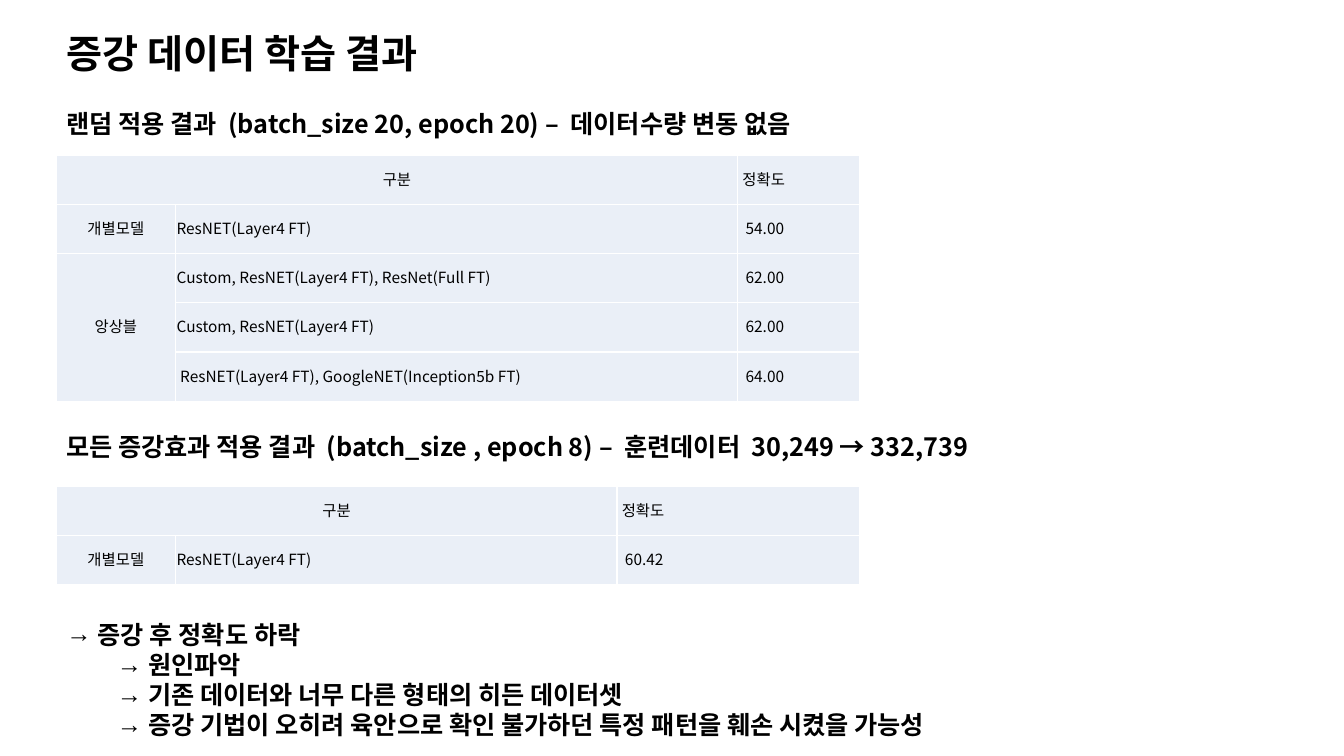
"""Build the slide with the accuracy results of training on augmented data."""
from dataclasses import dataclass

from lxml import etree
from pptx import Presentation
from pptx.dml.color import RGBColor
from pptx.enum.text import MSO_ANCHOR, MSO_AUTO_SIZE, PP_ALIGN
from pptx.oxml.ns import qn
from pptx.util import Cm, Pt

LEFT, CENTER = PP_ALIGN.LEFT, PP_ALIGN.CENTER
TOP, MIDDLE = MSO_ANCHOR.TOP, MSO_ANCHOR.MIDDLE
NO_AUTOFIT = MSO_AUTO_SIZE.NONE


@dataclass(frozen=True)
class Theme:
    font: str = "Noto Sans CJK KR"
    text: RGBColor = RGBColor(0x00, 0x00, 0x00)
    cell: RGBColor = RGBColor(0xEA, 0xEF, 0xF7)
    border: str = "FFFFFF"
    title_size: int = 28
    heading_size: int = 18
    cell_size: int = 11
    line_height: float = 1.2


theme = Theme()


def write_text(paragraph, text, size=theme.heading_size, bold=True, align=LEFT):
    paragraph.alignment = align
    paragraph.space_before = paragraph.space_after = Pt(0)
    paragraph.line_spacing = Pt(size * theme.line_height)
    run = paragraph.add_run()
    run.text = text
    run.font.name = theme.font
    run.font.size = Pt(size)
    run.font.bold = bold
    run.font.color.rgb = theme.text
    east_asian = etree.Element(qn("a:ea"), typeface=theme.font)
    run.font._element.find(qn("a:latin")).addnext(east_asian)


def place(shape, left, top, width, height):
    shape.left, shape.top, shape.width, shape.height = Cm(left), Cm(top), Cm(width), Cm(height)
    frame = shape.text_frame
    frame.word_wrap = True
    frame.auto_size = NO_AUTOFIT
    frame.vertical_anchor = TOP
    return frame


presentation = Presentation()
presentation.slide_width, presentation.slide_height = Cm(33.87), Cm(19.05)
slide = presentation.slides.add_slide(presentation.slide_layouts[1])
left_edge = 1.42

title = place(slide.shapes.title, left_edge, 0.6, 13.61, 1.45)
write_text(title.paragraphs[0], "증강 데이터 학습 결과", size=theme.title_size)

headings = [
    (2.6, "랜덤 적용 결과  (batch_size 20, epoch 20) –  데이터수량 변동 없음"),
    (10.75, "모든 증강효과 적용 결과  (batch_size , epoch 8) –  훈련데이터  30,249 → 332,739"),
]
for top, text in headings:
    heading = place(slide.shapes.add_textbox(0, 0, 0, 0), left_edge, top, 25.4, 1.02)
    write_text(heading.paragraphs[0], text)

row_height = 1.24
inset = 0.03
accuracy_insets = {"header": 0.12, "value": 0.2}
header = ("구분", "", "정확도")
result_tables = [
    (3.91, (3.0, 14.17, 3.07), [
        header,
        ("개별모델", "ResNET(Layer4 FT)", "54.00"),
        ("앙상블", "Custom, ResNET(Layer4 FT), ResNet(Full FT)", "62.00"),
        ("", "Custom, ResNET(Layer4 FT)", "62.00"),
        ("", "ResNET(Layer4 FT), GoogleNET(Inception5b FT)", "64.00"),
    ], [(0, 0, 0, 1), (2, 0, 4, 0)]),
    (12.25, (3.0, 11.13, 6.12), [
        header,
        ("개별모델", "ResNET(Layer4 FT)", "60.42"),
    ], [(0, 0, 0, 1)]),
]
for top, widths, rows, merges in result_tables:
    table = slide.shapes.add_table(
        len(rows), len(widths), Cm(left_edge), Cm(top),
        Cm(sum(widths)), Cm(row_height * len(rows))).table
    table.first_row = table.horz_banding = False
    for column, width in zip(table.columns, widths):
        column.width = Cm(width)
    for row_index, row in enumerate(rows):
        table.rows[row_index].height = Cm(row_height)
        for column_index, text in enumerate(row):
            cell = table.cell(row_index, column_index)
            cell.vertical_anchor = MIDDLE
            cell.margin_left = cell.margin_right = cell.margin_top = Cm(inset)
            cell.margin_bottom = 0
            if column_index == 2:
                cell.margin_left = Cm(accuracy_insets["value" if row_index else "header"])
            elif row_index == 4:
                cell.margin_left = Cm(0.12)
            properties = cell._tc.get_or_add_tcPr()
            for side in ("a:lnL", "a:lnR", "a:lnT", "a:lnB"):
                line = etree.SubElement(properties, qn(side), w=str(Pt(1)))
                fill = etree.SubElement(line, qn("a:solidFill"))
                etree.SubElement(fill, qn("a:srgbClr"), val=theme.border)
            cell.fill.solid()
            cell.fill.fore_color.rgb = theme.cell
            if text:
                write_text(cell.text_frame.paragraphs[0], text, size=theme.cell_size,
                           bold=False, align=LEFT if column_index else CENTER)
    for first_row, first_column, last_row, last_column in merges:
        table.cell(first_row, first_column).merge(table.cell(last_row, last_column))

conclusions = [
    (0, "증강 후 정확도 하락"),
    (1, "원인파악"),
    (1, "기존 데이터와 너무 다른 형태의 히든 데이터셋"),
    (1, "증강 기법이 오히려 육안으로 확인 불가하던 특정 패턴을 훼손 시켰을 가능성"),
]
hanging = 0.79
body = place(slide.placeholders[1], left_edge, 15.47, 27.91, 3.33)
for index, (level, text) in enumerate(conclusions):
    paragraph = body.add_paragraph() if index else body.paragraphs[0]
    paragraph.level = level
    properties = paragraph._p.get_or_add_pPr()
    properties.set("marL", str(Cm(hanging + 1.27 * level)))
    properties.set("indent", str(-Cm(hanging)))
    etree.SubElement(properties, qn("a:buChar"), char="→")
    write_text(paragraph, text)

presentation.save("out.pptx")
